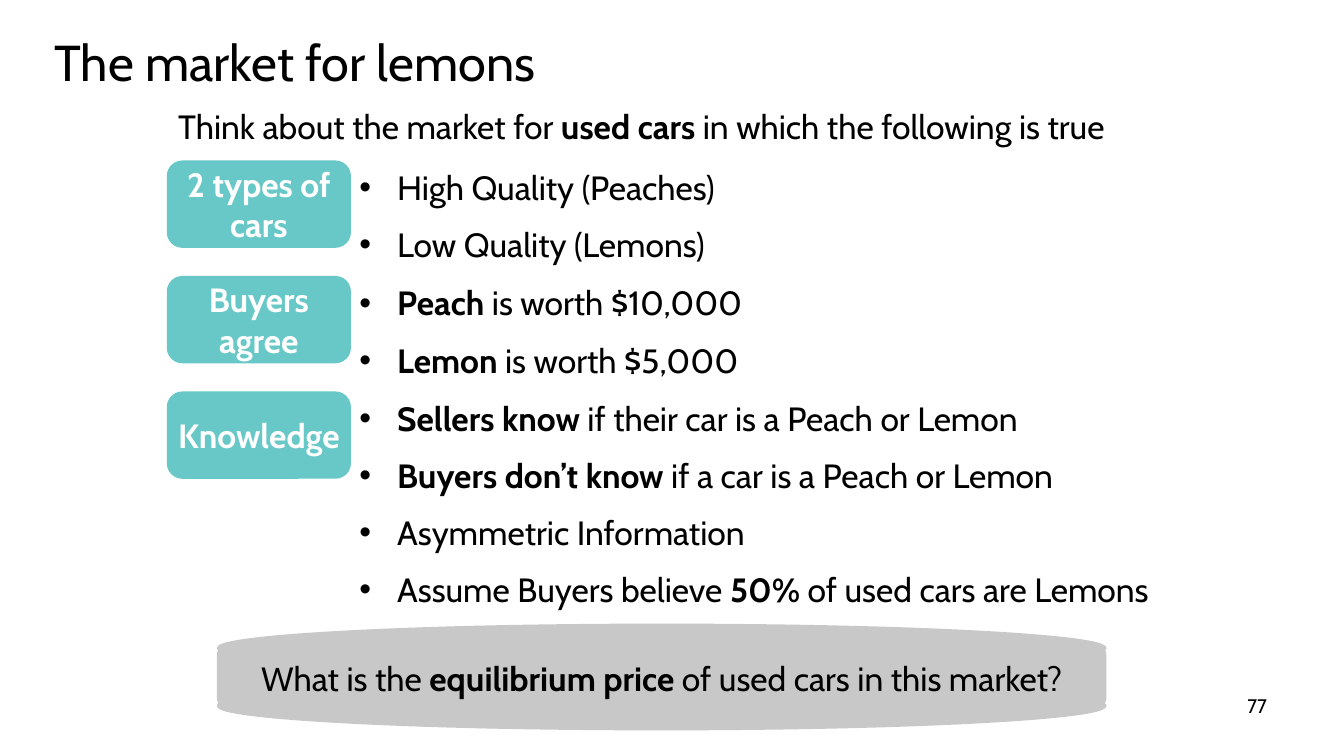
from lxml.etree import SubElement
from pptx import Presentation
from pptx.dml.color import RGBColor
from pptx.enum.shapes import MSO_SHAPE
from pptx.enum.text import MSO_ANCHOR, PP_ALIGN
from pptx.oxml.ns import qn
from pptx.util import Cm, Pt

BLACK = RGBColor(0x00, 0x00, 0x00)
WHITE = RGBColor(0xFF, 0xFF, 0xFF)
TEAL = RGBColor(0x67, 0xC8, 0xC7)
GREY = RGBColor(0xC8, 0xC8, 0xC8)
FONT = "Cabin"

# Text between asterisks is bold.
TITLE = "The market for lemons"
INTRO = "Think about the market for *used cars *in which the following is true"
TOPICS = [
    ("2 types of cars", ["High Quality (Peaches)", "Low Quality (Lemons)"]),
    ("Buyers agree", ["*Peach *is worth $10,000", "*Lemon *is worth $5,000"]),
    ("Knowledge", [
        "*Sellers know *if their car is a Peach or Lemon",
        "*Buyers don’t know *if a car is a Peach or Lemon",
        "Asymmetric Information",
        "Assume Buyers believe *50% *of used cars are Lemons",
    ]),
]
QUESTION = "What is the *equilibrium price *of used cars in this market?"
PAGE_NUMBER = "77"

LEFT = Cm(4.24)
TOPIC_TOP, TOPIC_STEP = Cm(4.08), Cm(2.91)
LABEL_WIDTH, LABEL_HEIGHT = Cm(4.57), Cm(2.13)
BULLET_WIDTH, BULLET_PITCH = Cm(21.16), Cm(1.41)
INDENT = Cm(0.95)
BANNER_LEFT, BANNER_WIDTH = Cm(5.5), Cm(22.35)
BANNER_PARTS = [  # preset, top, height
    (MSO_SHAPE.ROUNDED_RECTANGLE, Cm(16.26), Cm(1.57)),
    (MSO_SHAPE.OVAL, Cm(15.75), Cm(1.17)),
    (MSO_SHAPE.OVAL, Cm(17.2), Cm(1.17)),
]


def write(para, text, size=24, color=BLACK, align=PP_ALIGN.LEFT, space_after=0):
    para.alignment = align
    para.space_after = Pt(space_after)
    for index, part in enumerate(text.split("*")):
        if part:
            span = para.add_run()
            span.text = part
            span.font.name = FONT
            span.font.size = Pt(size)
            span.font.bold = index % 2 == 1
            span.font.color.rgb = color


def add_text(page, left, top, width, height, lines, bullets=False, **style):
    box = page.shapes.add_textbox(left, top, width, height)
    frame = box.text_frame
    frame.word_wrap = True
    for index, line in enumerate(lines):
        para = frame.add_paragraph() if index else frame.paragraphs[0]
        write(para, line, **style)
        if bullets:
            properties = para._p.get_or_add_pPr()
            properties.set("marL", str(INDENT))
            properties.set("indent", str(-INDENT))
            SubElement(properties, qn("a:buFont"), typeface="Arial")
            SubElement(properties, qn("a:buChar"), char="•")
    return frame


def add_block(page, preset, left, top, width, height, color):
    shape = page.shapes.add_shape(preset, left, top, width, height)
    shape.shadow.inherit = False
    shape.fill.solid()
    shape.fill.fore_color.rgb = color
    shape.line.color.rgb = color
    shape.line.width = Pt(2)
    return shape


def add_topic(page, top, label, lines):
    block = add_block(page, MSO_SHAPE.ROUNDED_RECTANGLE,
                      LEFT, top, LABEL_WIDTH, LABEL_HEIGHT, TEAL)
    frame = block.text_frame
    frame.word_wrap = True
    frame.vertical_anchor = MSO_ANCHOR.MIDDLE
    if " " not in label:
        frame.margin_left = frame.margin_right = 0
    write(frame.paragraphs[0], f"*{label}*", color=WHITE, align=PP_ALIGN.CENTER)
    add_text(page, LEFT + LABEL_WIDTH, top, BULLET_WIDTH, BULLET_PITCH * len(lines),
             lines, bullets=True, space_after=12)


def main():
    deck = Presentation()
    deck.slide_width, deck.slide_height = Cm(33.87), Cm(19.05)
    page = deck.slides.add_slide(deck.slide_layouts[6])

    title = add_text(page, Cm(1.12), Cm(0.64), Cm(30.48), Cm(1.8), [TITLE], size=36)
    title.vertical_anchor = MSO_ANCHOR.MIDDLE
    add_text(page, Cm(24.28), Cm(17.35), Cm(7.9), Cm(1.32), [PAGE_NUMBER],
             size=14, align=PP_ALIGN.RIGHT)
    add_text(page, LEFT, Cm(2.54), Cm(24.79), Cm(1.27), [INTRO], space_after=12)

    for index, (label, lines) in enumerate(TOPICS):
        add_topic(page, TOPIC_TOP + index * TOPIC_STEP, label, lines)

    for preset, top, height in BANNER_PARTS:
        add_block(page, preset, BANNER_LEFT, top, BANNER_WIDTH, height, GREY)
    add_text(page, BANNER_LEFT, Cm(16.46), BANNER_WIDTH, Cm(1.27), [QUESTION],
             align=PP_ALIGN.CENTER, space_after=12)

    deck.save("out.pptx")


if __name__ == "__main__":
    main()
